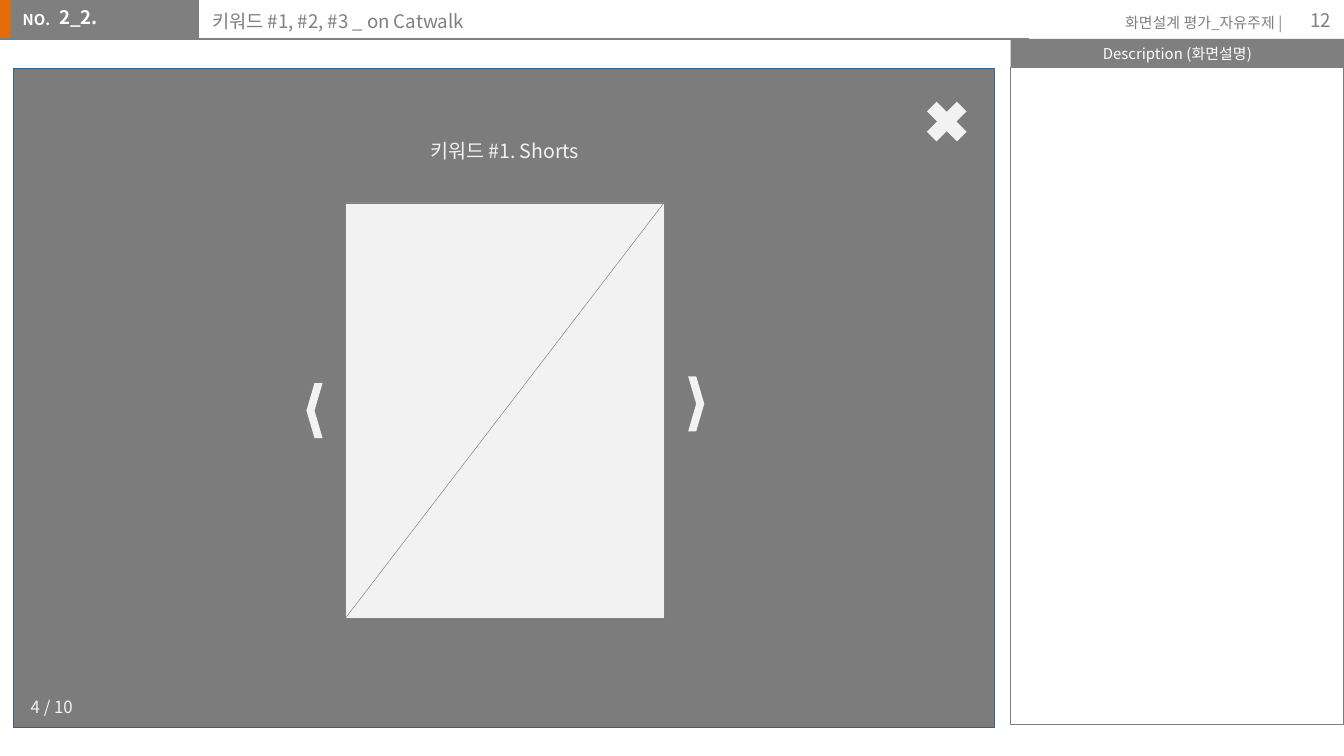
from dataclasses import dataclass
from lxml.etree import SubElement
from pptx import Presentation
from pptx.dml.color import RGBColor
from pptx.enum.shapes import MSO_CONNECTOR, MSO_SHAPE as Shape
from pptx.enum.text import MSO_ANCHOR as Anchor, MSO_AUTO_SIZE as AutoSize, PP_ALIGN as Align
from pptx.oxml.ns import qn
from pptx.util import Inches, Pt


@dataclass(frozen=True)
class Theme:
    font: str = "Noto Sans CJK KR"
    gray: str = "7F7F7F"
    orange: str = "E36C09"
    white: str = "FFFFFF"
    light: str = "F2F2F2"
    overlay: str = "262626"
    overlay_line: str = "3A5F8C"
    frame_line: str = "808080"
    small: float = 8
    counter: float = 9
    heading: float = 10
    keyword: float = 10.5
    rule: float = 0.75
    hairline: float = 0.25


THEME = Theme()

# Content
TITLE = "키워드 #1, #2, #3 _ on Catwalk"
SCREEN_NUMBER = "2_2."
DESCRIPTION = "Description (화면설명)"
# text, box, size, colour, bold, alignment, anchor
HEADER_TEXTS = [
    ("NO.", (0.07, 0.03, 0.41, 0.24), THEME.small, THEME.white, True, Align.LEFT, Anchor.TOP),
    ("화면설계 평가_자유주제 |", (8, 0.05, 1.64, 0.24), THEME.small, THEME.gray, False,
     Align.RIGHT, Anchor.TOP),
    ("12", (9.4, 0, 0.6, 0.3), THEME.heading, THEME.gray, False, Align.RIGHT, Anchor.MIDDLE),
]
# text, box, size, alignment
SCREEN_TEXTS = [
    ("키워드 #1. Shorts", (3.08, 0.9, 1.35, 0.34), THEME.keyword, Align.CENTER),
    ("4 / 10", (0.13, 5.06, 0.55, 0.3), THEME.counter, Align.LEFT),
]

# Layout
SLIDE_W = 10
SLIDE_H = SLIDE_W * 9 / 16
HEADER_H = 0.29
SIDE_X, SIDE_W, SIDE_HEAD_H, SIDE_BODY_H = 7.52, 2.48, 0.21, 4.89
SCREEN = (0.1, 0.51, 7.3, 4.9)
FRAME_X, FRAME_Y, FRAME_W, FRAME_H = 2.57, 1.51, 2.37, 3.09
ARROW_W, ARROW_H = 0.12, 0.41
# left, top, rotation
ARROWS = [(2.28, 2.85, 180), (5.12, 2.8, 0)]


def rgb(colour):
    return RGBColor.from_string(colour)


def add_block(slide, kind, box, fill=None, line=None, width=THEME.rule):
    block = slide.shapes.add_shape(kind, *map(Inches, box))
    block.shadow.inherit = False
    if fill:
        block.fill.solid()
        block.fill.fore_color.rgb = rgb(fill)
    else:
        block.fill.background()
    if line:
        block.line.color.rgb = rgb(line)
        block.line.width = Pt(width)
    else:
        block.line.fill.background()
    return block


def add_line(slide, start, end, colour, width):
    rule = slide.shapes.add_connector(MSO_CONNECTOR.STRAIGHT, *map(Inches, start + end))
    rule.line.color.rgb = rgb(colour)
    rule.line.width = Pt(width)
    SubElement(rule._element.spPr, qn("a:effectLst"))


def write(holder, text, size, colour, bold=False, align=Align.LEFT, anchor=Anchor.TOP):
    frame = holder.text_frame
    frame.word_wrap = True
    frame.auto_size = AutoSize.NONE
    frame.vertical_anchor = anchor
    frame.text = text
    paragraph = frame.paragraphs[0]
    paragraph.alignment = align
    font = paragraph.font
    font.name, font.size, font.bold = THEME.font, Pt(size), bold
    font.color.rgb = rgb(colour)
    # Hangul takes the East Asian typeface
    SubElement(font._element, qn("a:ea"), typeface=THEME.font)
    return frame


def add_text(slide, box, *style):
    return write(slide.shapes.add_textbox(*map(Inches, box)), *style)


def build_header(slide):
    add_block(slide, Shape.RECTANGLE, (-0.01, 0, 0.12, HEADER_H), THEME.orange)
    add_block(slide, Shape.RECTANGLE, (0.08, 0, 1.4, HEADER_H), THEME.gray)
    add_line(slide, (0, HEADER_H), (7.66, HEADER_H), THEME.gray, THEME.rule)
    for text, box, *style in HEADER_TEXTS:
        add_text(slide, box, text, *style)

    number = add_text(slide, (0.09, -0.06, 1.1, 0.31), SCREEN_NUMBER, THEME.heading,
                      THEME.white, True)
    number.margin_left = Inches(0.35)

    title = slide.shapes.title
    title.left, title.top, title.width, title.height = map(Inches, (1.48, -0.03, 6.14, 0.32))
    heading = write(title, TITLE, THEME.heading, THEME.gray)
    for frame in (number, heading):
        frame.margin_top = frame.margin_bottom = Inches(0.1)


def build_description(slide):
    head = add_block(slide, Shape.RECTANGLE, (SIDE_X, HEADER_H, SIDE_W, SIDE_HEAD_H), THEME.gray)
    write(head, DESCRIPTION, THEME.small, THEME.white, False, Align.CENTER, Anchor.MIDDLE)
    add_block(slide, Shape.RECTANGLE, (SIDE_X, HEADER_H + SIDE_HEAD_H, SIDE_W, SIDE_BODY_H),
              line=THEME.gray)


def build_screen(slide):
    # Dimmed overlay
    overlay = add_block(slide, Shape.RECTANGLE, SCREEN, THEME.overlay,
                        THEME.overlay_line, THEME.hairline)
    colour = overlay._element.spPr.find(qn("a:solidFill")).find(qn("a:srgbClr"))
    SubElement(colour, qn("a:alpha"), val="60000")

    # Image frame with its diagonal
    add_block(slide, Shape.RECTANGLE, (FRAME_X, FRAME_Y, FRAME_W, FRAME_H), THEME.light,
              THEME.frame_line, THEME.hairline)
    add_line(slide, (FRAME_X + FRAME_W, FRAME_Y), (FRAME_X, FRAME_Y + FRAME_H),
             THEME.frame_line, THEME.hairline)

    # Close button and arrows
    add_block(slide, Shape.MATH_MULTIPLY, (6.83, 0.69, 0.43, 0.43), THEME.light)
    for left, top, rotation in ARROWS:
        arrow = add_block(slide, Shape.CHEVRON, (left, top, ARROW_W, ARROW_H), THEME.light)
        arrow.rotation = rotation

    # Keyword and counter
    for text, box, size, align in SCREEN_TEXTS:
        frame = add_text(slide, box, text, size, THEME.light, False, align)
        frame.word_wrap = False
        frame.auto_size = AutoSize.SHAPE_TO_FIT_TEXT
        frame.paragraphs[0].line_spacing = 1.5


def main():
    deck = Presentation()
    deck.slide_width, deck.slide_height = Inches(SLIDE_W), Inches(SLIDE_H)
    slide = deck.slides.add_slide(deck.slide_layouts[5])
    build_header(slide)
    build_description(slide)
    build_screen(slide)
    deck.save("out.pptx")


if __name__ == "__main__":
    main()
